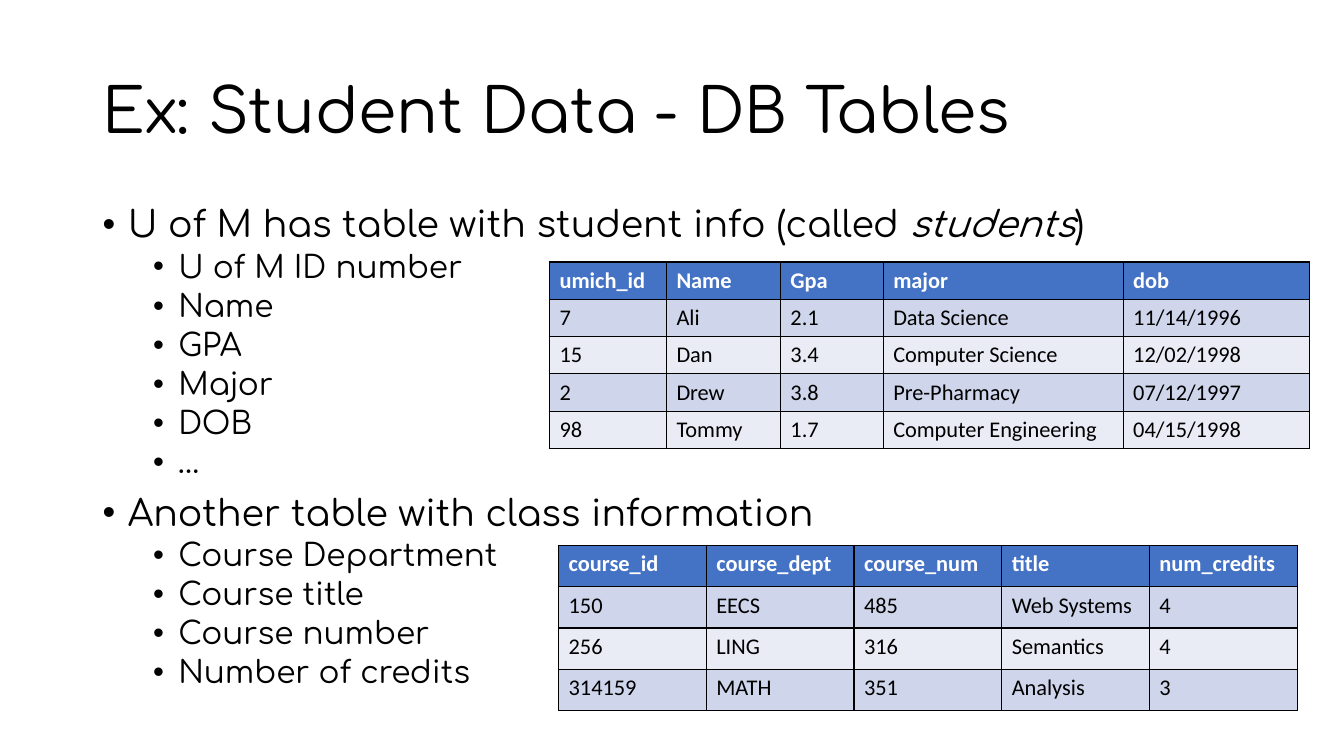
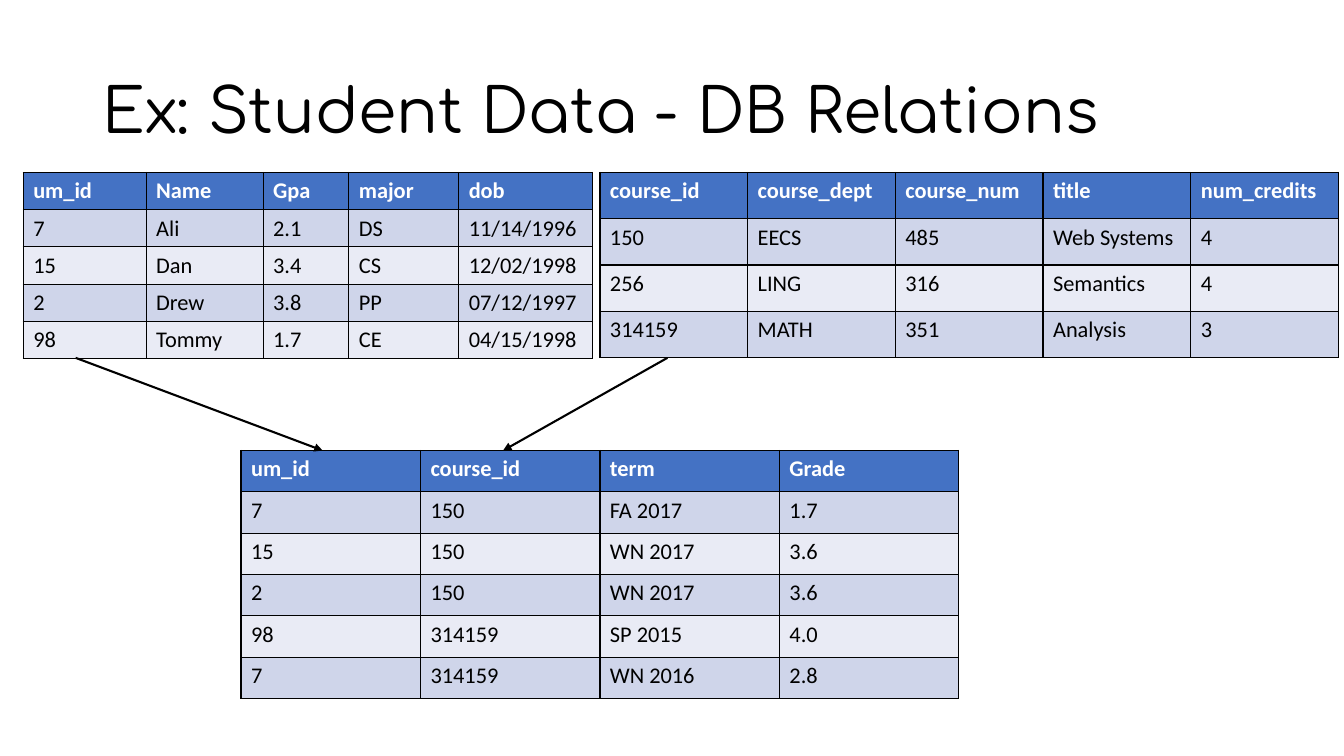
from lxml import etree
from pptx import Presentation
from pptx.dml import color
from pptx.enum import shapes, text
from pptx.oxml import ns
from pptx.util import Inches, Pt

BLACK, WHITE = "000000", "FFFFFF"
HEADER, BANDS = "4472C4", ("CFD5EA", "E9EBF5")

STUDENT_NAMES = [
    ("7", "Ali", "2.1", "11/14/1996"),
    ("15", "Dan", "3.4", "12/02/1998"),
    ("2", "Drew", "3.8", "07/12/1997"),
    ("98", "Tommy", "1.7", "04/15/1998"),
]
CLASSES = [
    ("course_id", "course_dept", "course_num", "title", "num_credits"),
    ("150", "EECS", "485", "Web Systems", "4"),
    ("256", "LING", "316", "Semantics", "4"),
    ("314159", "MATH", "351", "Analysis", "3"),
]
GRADES = [
    ("um_id", "course_id", "term", "Grade"),
    ("7", "150", "FA 2017", "1.7"),
    ("15", "150", "WN 2017", "3.6"),
    ("2", "150", "WN 2017", "3.6"),
    ("98", "314159", "SP 2015", "4.0"),
    ("7", "314159", "WN 2016", "2.8"),
]
OUTLINE = [
    (0, ["U of M has table with student info (called ", "*students", ")"]),
    *[(1, [item]) for item in ("U of M ID number", "Name", "GPA", "Major", "DOB", "…")],
    (0, ["Another table with class information"]),
    *[(1, [item]) for item in ("Course Department", "Course title", "Course number",
                               "Number of credits")],
]


def rgb(value):
    return color.RGBColor.from_string(value)


def student_rows(id_name, majors):
    rows = [(number, name, gpa, major, born)
            for (number, name, gpa, born), major in zip(STUDENT_NAMES, majors)]
    return [(id_name, "Name", "Gpa", "major", "dob")] + rows


class Deck:
    heading_font, table_font = "Comfortaa", "Calibri"

    def __init__(self):
        self.file = Presentation()
        self.file.slide_width, self.file.slide_height = Inches(13.33), Inches(7.5)
        self.page = None

    def add_page(self, title):
        self.page = self.file.slides.add_slide(self.file.slide_layouts[6])
        frame = self.add_box(0.92, 0.4, 11.5, 1.45)
        frame.vertical_anchor = text.MSO_ANCHOR.MIDDLE
        para = frame.paragraphs[0]
        para.line_spacing = 0.9
        self.add_span(para, title, 44, self.heading_font)

    def add_box(self, left, top, width, height):
        box = self.page.shapes.add_textbox(*map(Inches, (left, top, width, height)))
        box.text_frame.word_wrap = True
        return box.text_frame

    def add_span(self, para, words, size, font, ink=BLACK, bold=False, italic=False):
        span = para.add_run()
        span.text = words
        span.font.name, span.font.size = font, Pt(size)
        span.font.bold, span.font.italic = bold, italic
        span.font.color.rgb = rgb(ink)

    def add_bullets(self, left, top, width, height, items):
        """Fill a two-level list; a span that starts with * is italic."""
        frame = self.add_box(left, top, width, height)
        for index, (level, spans) in enumerate(items):
            para = frame.add_paragraph() if index else frame.paragraphs[0]
            para.level = level
            para.line_spacing = 0.9
            para.space_before = Pt((10, 4)[level] if index else 0)
            props = para._p.get_or_add_pPr()
            props.set("marL", str(Inches((0.25, 0.75)[level])))
            props.set("indent", str(Inches(-0.25)))
            etree.SubElement(props, ns.qn("a:buFont")).set("typeface", "Arial")
            etree.SubElement(props, ns.qn("a:buChar")).set("char", "•")
            for words in spans:
                self.add_span(para, words.lstrip("*"), (25.9, 22.2)[level],
                              self.heading_font, italic=words.startswith("*"))

    def add_table(self, left, top, widths, row_height, rows):
        frame = self.page.shapes.add_table(
            len(rows), len(widths), Inches(left), Inches(top),
            Inches(sum(widths)), Inches(row_height * len(rows)))
        table = frame.table
        for column, width in zip(table.columns, widths):
            column.width = Inches(width)
        for index, values in enumerate(rows):
            table.rows[index].height = Inches(row_height)
            header = index == 0
            for column, value in enumerate(values):
                cell = table.cell(index, column)
                cell.fill.solid()
                cell.fill.fore_color.rgb = rgb(HEADER if header else BANDS[(index - 1) % 2])
                self.add_span(cell.text_frame.paragraphs[0], value, 16, self.table_font,
                              WHITE if header else BLACK, bold=header)
                self.add_borders(cell)

    def add_borders(self, cell):
        props = cell._tc.get_or_add_tcPr()
        for position, side in enumerate(("lnL", "lnR", "lnT", "lnB")):
            line = etree.Element(ns.qn("a:" + side), w=str(Pt(1)))
            fill = etree.SubElement(line, ns.qn("a:solidFill"))
            etree.SubElement(fill, ns.qn("a:srgbClr")).set("val", BLACK)
            props.insert(position, line)

    def add_arrow(self, start, end):
        arrow = self.page.shapes.add_connector(
            shapes.MSO_CONNECTOR.STRAIGHT, *map(Inches, (*start, *end)))
        arrow.line.color.rgb = rgb(BLACK)
        arrow.line.width = Pt(1.5)
        etree.SubElement(arrow.line._get_or_add_ln(), ns.qn("a:tailEnd")).set("type", "triangle")
        etree.SubElement(arrow._element.spPr, ns.qn("a:effectLst"))


def main():
    deck = Deck()
    class_widths = [1.465] * 5

    deck.add_page("Ex: Student Data - DB Tables")
    deck.add_bullets(0.92, 2, 11.5, 4.76, OUTLINE)
    majors = ("Data Science", "Computer Science", "Pre-Pharmacy", "Computer Engineering")
    deck.add_table(5.45, 2.6, [1.16, 1.13, 1.02, 2.38, 1.85], 0.37,
                   student_rows("umich_id", majors))
    deck.add_table(5.54, 5.41, class_widths, 0.41, CLASSES)

    deck.add_page("Ex: Student Data - DB Relations")
    deck.add_table(0.23, 1.71, [1.22, 1.16, 0.85, 1.09, 1.33], 0.37,
                   student_rows("um_id", ("DS", "CS", "PP", "CE")))
    deck.add_table(5.95, 1.71, class_widths, 0.46, CLASSES)
    deck.add_table(2.39, 4.47, [1.78] * 4, 0.41, GRADES)
    deck.add_arrow((0.75, 3.55), (3.2, 4.47))
    deck.add_arrow((6.62, 3.55), (4.99, 4.47))

    deck.file.save("out.pptx")


if __name__ == "__main__":
    main()
